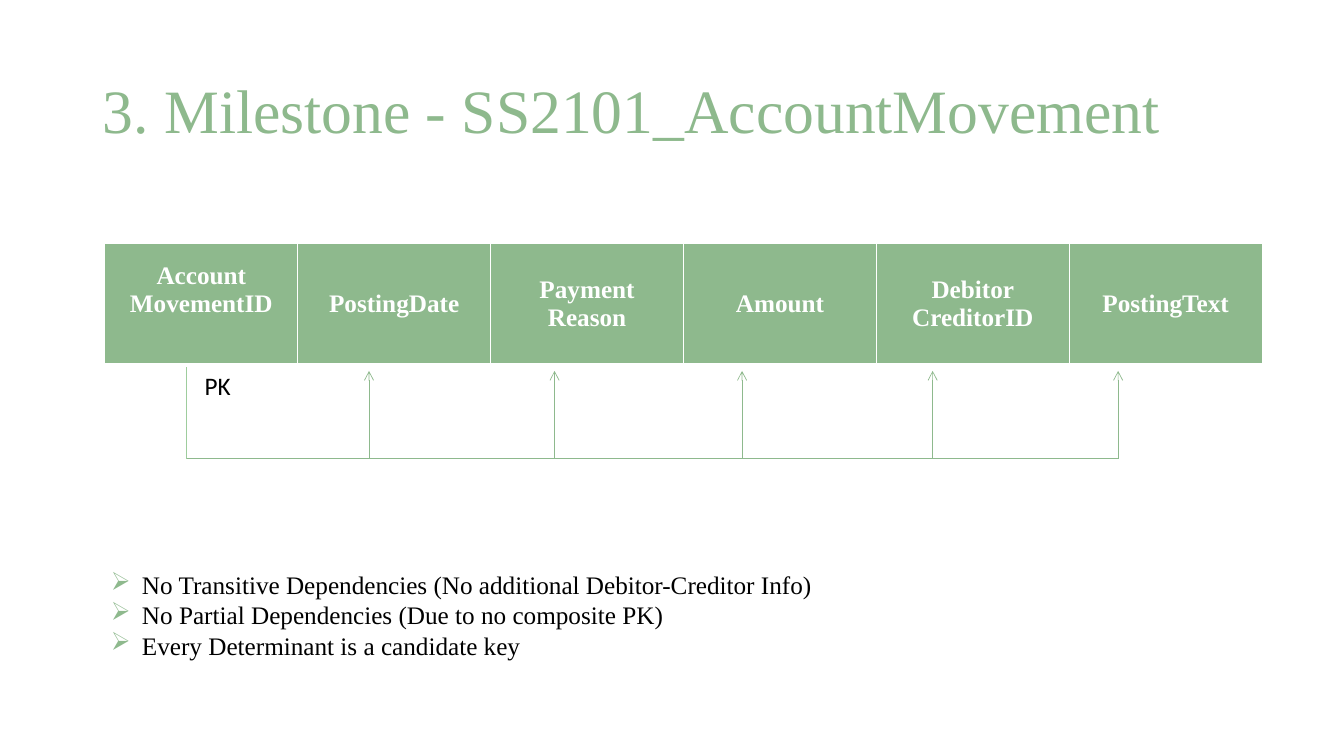
from lxml import etree
from pptx import Presentation
from pptx import util as u
from pptx.dml.color import RGBColor
from pptx.enum import shapes, text
from pptx.oxml.ns import qn

COLORS = {"green": "8EB98D", "light_green": "9ECD9D", "white": "FFFFFF", "black": "000000"}
SERIF = "Times New Roman"
SANS = "Calibri"


class MilestoneSlide:
    line_width = u.Pt(0.5)
    body_size = 18

    def __init__(self, deck):
        self.slide = deck.slides.add_slide(deck.slide_layouts[6])

    def color(self, name):
        return RGBColor.from_string(COLORS[name])

    def style_runs(self, paragraph, size, font, color, bold=False):
        for run in paragraph.runs:
            run.font.size = u.Pt(size)
            run.font.name = font
            run.font.bold = bold
            run.font.color.rgb = self.color(color)

    def add_solid_fill(self, parent, color):
        fill = etree.SubElement(parent, qn("a:solidFill"))
        etree.SubElement(fill, qn("a:srgbClr"), val=COLORS[color])

    def text_box(self, box, content, size=body_size, font=SERIF, color="black",
                 anchor=text.MSO_ANCHOR.TOP):
        frame = self.slide.shapes.add_textbox(*map(u.Inches, box)).text_frame
        frame.word_wrap = True
        frame.vertical_anchor = anchor
        frame.text = content
        for paragraph in frame.paragraphs:
            self.style_runs(paragraph, size, font, color)
        return frame

    def bullets(self, box, points):
        indent = u.Inches(0.31)
        for paragraph in self.text_box(box, "\n".join(points)).paragraphs:
            properties = paragraph._p.get_or_add_pPr()
            properties.set("marL", str(indent))
            properties.set("indent", str(-indent))
            tint = etree.SubElement(properties, qn("a:buClr"))
            etree.SubElement(tint, qn("a:srgbClr"), val=COLORS["green"])
            etree.SubElement(properties, qn("a:buChar"), char="➢")

    def line(self, start, end, color="green", arrow=False):
        link = self.slide.shapes.add_connector(
            shapes.MSO_CONNECTOR.STRAIGHT, *map(u.Inches, start + end))
        link.line.color.rgb = self.color(color)
        link.line.width = self.line_width
        if arrow:
            etree.SubElement(link.line._ln, qn("a:tailEnd"), type="arrow")
        etree.SubElement(link._element.spPr, qn("a:effectLst"))

    def cell_borders(self, cell):
        properties = cell._tc.get_or_add_tcPr()
        for index, (side, width) in enumerate((("L", 1), ("R", 1), ("T", 1), ("B", 3))):
            border = etree.Element(qn(f"a:ln{side}"), w=str(u.Pt(width)))
            self.add_solid_fill(border, "white")
            properties.insert(index, border)

    def header_table(self, box, headings):
        table = self.slide.shapes.add_table(1, len(headings), *map(u.Inches, box)).table
        for column, heading in enumerate(headings):
            table.columns[column].width = u.Inches(box[2] / len(headings))
            cell = table.cell(0, column)
            cell.fill.solid()
            cell.fill.fore_color.rgb = self.color("green")
            cell.vertical_anchor = text.MSO_ANCHOR.MIDDLE
            cell.text_frame.text = heading
            for paragraph in cell.text_frame.paragraphs:
                paragraph.alignment = text.PP_ALIGN.CENTER
                self.style_runs(paragraph, self.body_size, SERIF, "white", bold=True)
            self.cell_borders(cell)
        return table


def main():
    deck = Presentation()
    deck.slide_width, deck.slide_height = u.Inches(13.33), u.Inches(7.5)
    page = MilestoneSlide(deck)

    title = page.text_box((0.92, 0.4, 11.5, 1.45), "3. Milestone - SS2101_AccountMovement",
                          size=44, color="green", anchor=text.MSO_ANCHOR.MIDDLE)
    title.paragraphs[0].line_spacing = 0.9

    key_x, dependents_x = 1.85, (3.66, 5.5, 7.36, 9.25, 11.09)
    rail_y, arrow_y = 4.55, 3.68
    page.line((key_x, 3.46), (key_x, rail_y), color="light_green")
    page.line((key_x, rail_y), (dependents_x[-1], rail_y))
    for dependent_x in dependents_x:
        page.line((dependent_x, rail_y), (dependent_x, arrow_y), arrow=True)
    page.text_box((1.93, 3.62, 0.52, 0.4), "PK", font=SANS)

    attributes = page.header_table((1.04, 2.41, 11.48, 1.21), [
        "Account\nMovementID", "PostingDate", "Payment\nReason",
        "Amount", "Debitor\nCreditorID", "PostingText"])
    attributes.cell(0, 0).margin_bottom = u.Inches(0.33)

    page.bullets((1, 5.6, 7.52, 1.31), [
        "No Transitive Dependencies (No additional Debitor-Creditor Info)",
        "No Partial Dependencies (Due to no composite PK)",
        "Every Determinant is a candidate key"])

    deck.save("out.pptx")


if __name__ == "__main__":
    main()
